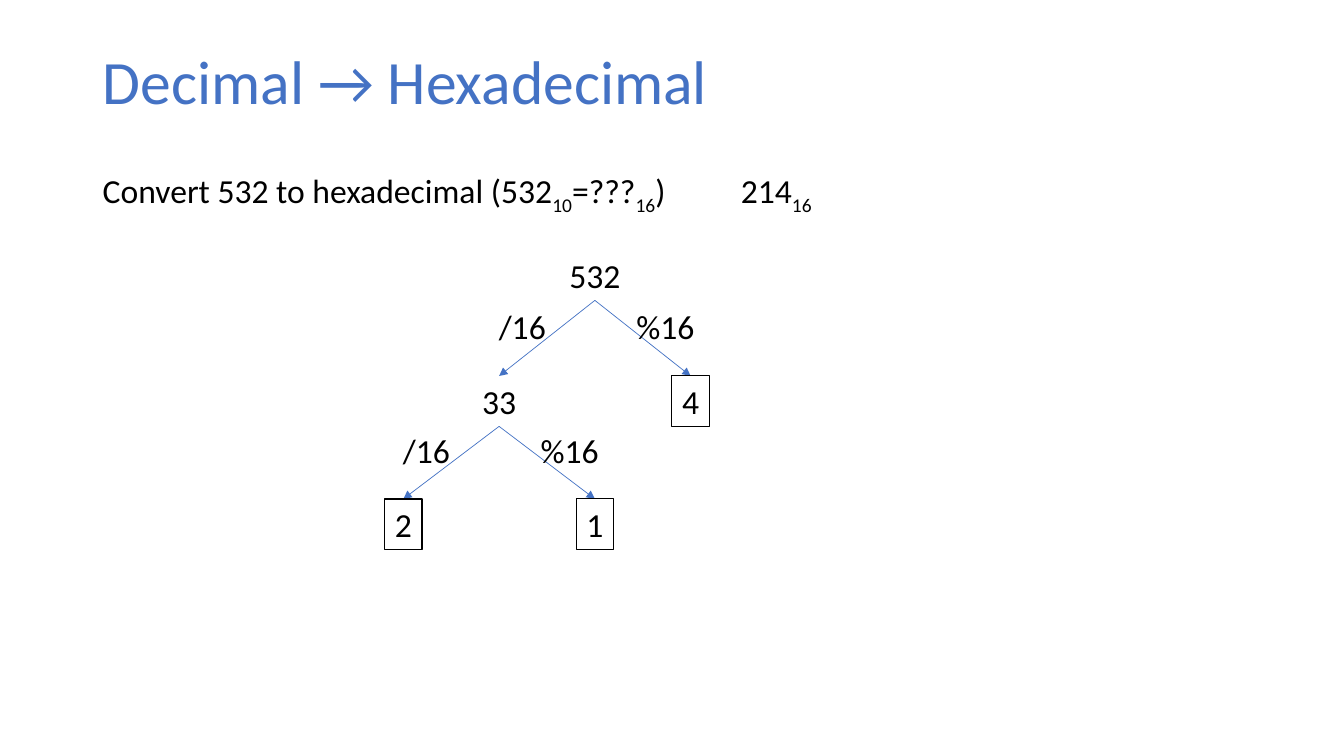
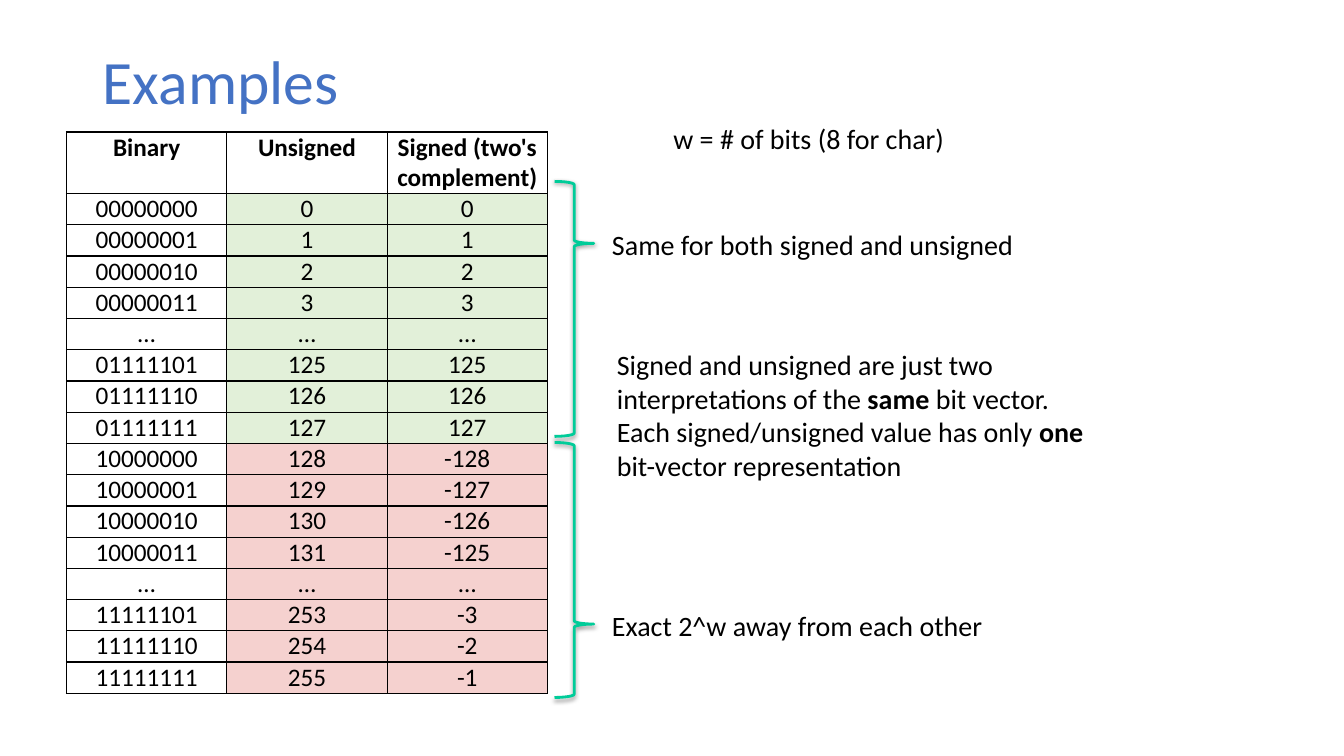
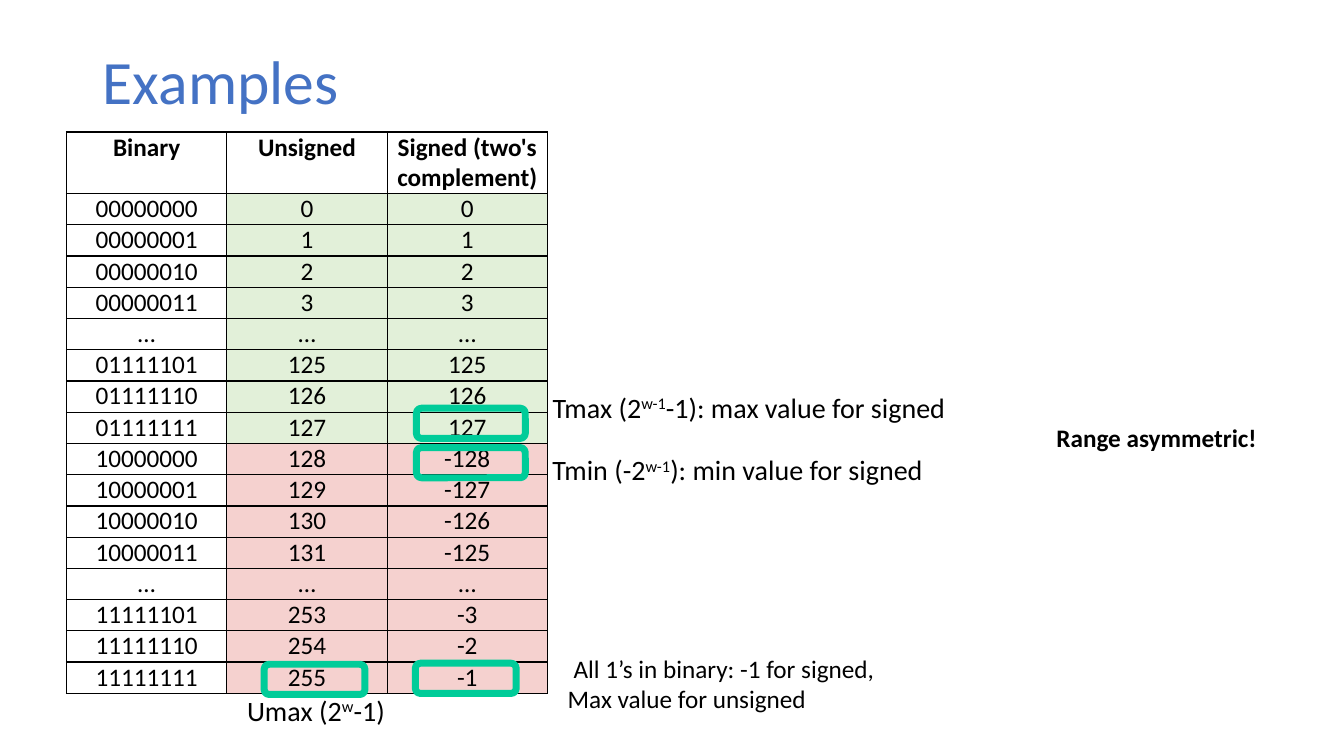
import pptx
import pptx.dml.color
import pptx.enum.shapes
import pptx.enum.text
import pptx.oxml
import pptx.oxml.ns
import pptx.util
from pptx.util import Inches

FONT = "Calibri"
BLACK, WHITE, BLUE, TEAL = "000000", "FFFFFF", "4472C4", "00CC99"
GREEN_ROW, RED_ROW = "E2F0D9", "F5D1CF"
LEFT = pptx.enum.text.PP_ALIGN.LEFT
CENTER = pptx.enum.text.PP_ALIGN.CENTER
SHAPES = pptx.enum.shapes.MSO_SHAPE
qn = pptx.oxml.ns.qn
NS = pptx.oxml.ns.nsdecls("a")

# A paragraph is a list of (text, style) runs
QUESTION = [[("Convert 532 to hexadecimal (532", ""), ("10", "sub"),
             ("=???", ""), ("16", "sub"), (")", "")]]
ANSWER = [[("214", ""), ("16", "sub")]]

# A node is (value, quotient node, remainder); a plain string is a digit
DIVISIONS = ("532", ("33", "2", "1"), "4")
LEVEL_TOPS = (2.48, 3.73, 4.95)
NODE_H, BRANCH = 0.5, 0.95

HEADERS = ("Binary", "Unsigned", "Signed (two's complement)")
SAMPLES = (0, 1, 2, 3, None, 125, 126, 127,
           128, 129, 130, 131, None, 253, 254, 255)
TABLE_LEFT, TABLE_TOP = 0.66, 1.31
COL_W, HEAD_H, ROW_H = 1.59, 0.57, 0.31

BRACES = [(1.8, 0.243), (4.39, 0.712)]  # top, position of the point
BRACE_NOTES = [  # left, top, width, height, inset, paragraphs
    (6.02, 2.21, 4.94, 0.44, 0.05, [[("Same for both signed and unsigned", "")]]),
    (6.02, 3.4, 5.24, 1.45, 0.1, [
        [("Signed and unsigned are just two interpretations of the ", ""),
         ("same", "bold"), (" bit vector.", "")],
        [("Each signed/unsigned value has only ", ""), ("one", "bold"),
         (" bit-vector representation", "")]]),
    (6.02, 5.99, 4.94, 0.44, 0.05, [[("Exact 2^w away from each other", "")]]),
]
WIDTH_NOTE = [[("w = # of bits (8 for char)", "")]]

HIGHLIGHTS = [(2.62, 6.59, 1), (4.13, 4.05, 1.08),
              (4.13, 4.44, 1.08), (4.12, 6.58, 1)]  # left, top, width
LIMIT_NOTES = [  # left, top, width, paragraphs
    (2.4, 6.83, 1.75, [[("Umax (2", ""), ("w", "sup"), ("-1)", "")]]),
    (5.43, 3.82, 4.18, [[("Tmax (2", ""), ("w-1", "sup"),
                         ("-1): max value for signed", "")]]),
    (5.43, 4.44, 4.73, [[("Tmin (-2", ""), ("w-1", "sup"),
                         ("): min value for signed", "")]]),
]
ALL_ONES = [[("All 1’s in binary: -1 for signed,", "")],
            [("Max value for unsigned", "")]]
ASYMMETRIC = [[("Range asymmetric!", "bold")]]


def rgb(color):
    return pptx.dml.color.RGBColor.from_string(color)


def write(tf, paragraphs, size, align=LEFT, color=BLACK):
    for i, runs in enumerate(paragraphs):
        p = tf.paragraphs[0] if i == 0 else tf.add_paragraph()
        p.alignment = align
        for text, style in runs:
            r = p.add_run()
            r.text = text
            r.font.name, r.font.size = FONT, pptx.util.Pt(size)
            r.font.bold = style == "bold"
            r.font.color.rgb = rgb(color)
            baseline = {"sub": "-25000", "sup": "30000"}.get(style)
            if baseline:
                r.font._element.set("baseline", baseline)


def add_text(s, left, top, width, height, paragraphs, size,
             align=LEFT, wrap=False, inset=0.1):
    box = s.shapes.add_textbox(Inches(left), Inches(top),
                               Inches(width), Inches(height))
    tf = box.text_frame
    tf.word_wrap = wrap
    tf.margin_left = tf.margin_right = Inches(inset)
    write(tf, paragraphs, size, align)
    return box


def add_outline(s, kind, left, top, width, height, weight):
    """Add an unfilled teal shape."""
    sp = s.shapes.add_shape(kind, Inches(left), Inches(top),
                            Inches(width), Inches(height))
    sp.shadow.inherit = False
    sp.fill.background()
    sp.line.color.rgb = rgb(TEAL)
    sp.line.width = pptx.util.Pt(weight)
    return sp


def add_brace(s, top, point):
    sp = add_outline(s, SHAPES.RIGHT_BRACE, 5.5, top, 0.39, 2.53, 2)
    sp.adjustments[0], sp.adjustments[1] = 0.083, point
    sp._element.spPr.find(qn("a:effectLst")).append(pptx.oxml.parse_xml(
        f'<a:outerShdw {NS} blurRad="38100" dist="20320" dir="5400000" '
        f'rotWithShape="0"><a:srgbClr val="{BLACK}"><a:alpha val="38000"/>'
        f'</a:srgbClr></a:outerShdw>'))


def add_arrow(s, x1, y1, x2, y2):
    line = s.shapes.add_connector(pptx.enum.shapes.MSO_CONNECTOR.STRAIGHT,
                                  Inches(x1), Inches(y1), Inches(x2), Inches(y2))
    line.line.color.rgb = rgb(BLUE)
    line.line.width = pptx.util.Pt(0.5)
    line.line._get_or_add_ln().append(
        pptx.oxml.parse_xml(f'<a:tailEnd {NS} type="triangle"/>'))
    line._element.spPr.append(pptx.oxml.parse_xml(f"<a:effectLst {NS}/>"))


def add_label(s, text, center, top, width):
    return add_text(s, center - width / 2, top, width, NODE_H,
                    [[(text, "")]], 24, CENTER)


def add_division(s, node, center, level=0, border=0.75):
    """Draw a node and, below it, its quotient and remainder."""
    top = LEVEL_TOPS[level]
    if isinstance(node, str):
        digit = add_label(s, node, center, top, 0.37)
        digit.line.color.rgb = rgb(BLACK)
        digit.line.width = pptx.util.Pt(border)
        return
    value, quotient, remainder = node
    add_label(s, value, center, top, 0.71)
    below = LEVEL_TOPS[level + 1]
    label_top = (top + below) / 2 - 0.12
    branches = ((-1, "/16", 0.72, quotient, 1), (1, "%16", 0.7, remainder, 0.75))
    for side, operation, shift, child, child_border in branches:
        x = center + side * BRANCH
        add_arrow(s, center, top + NODE_H, x, below)
        add_label(s, operation, center + side * shift, label_top, 0.78)
        add_division(s, child, x, level + 1, child_border)


def table_rows():
    """Yield the texts of each row and the fill of its value columns."""
    yield HEADERS, None
    for i, n in enumerate(SAMPLES):
        fill = GREEN_ROW if i < len(SAMPLES) / 2 else RED_ROW
        if n is None:
            yield ("…",) * 3, fill
        else:
            yield (f"{n:08b}", str(n), str(n if n < 128 else n - 256)), fill


def format_cell(cell, text, fill, bold):
    cell.margin_left = cell.margin_right = Inches(0.1)
    cell.margin_top = cell.margin_bottom = 0
    write(cell.text_frame, [[(text, "bold" if bold else "")]], 18, CENTER)
    tcPr = cell._tc.get_or_add_tcPr()
    for edge in ("lnL", "lnR", "lnT", "lnB"):
        tcPr.append(pptx.oxml.parse_xml(
            f'<a:{edge} {NS} w="12700"><a:solidFill><a:srgbClr val="{BLACK}"/>'
            f'</a:solidFill></a:{edge}>'))
    if fill:
        cell.fill.solid()
        cell.fill.fore_color.rgb = rgb(fill)
    else:
        cell.fill.background()


def add_bits_table(s):
    rows = list(table_rows())
    table = s.shapes.add_table(
        len(rows), len(HEADERS), Inches(TABLE_LEFT), Inches(TABLE_TOP),
        Inches(COL_W * len(HEADERS)),
        Inches(HEAD_H + ROW_H * len(SAMPLES))).table
    table.first_row = table.horz_banding = False
    for column in table.columns:
        column.width = Inches(COL_W)
    for i, (texts, fill) in enumerate(rows):
        table.rows[i].height = Inches(ROW_H if i else HEAD_H)
        for j, text in enumerate(texts):
            format_cell(table.cell(i, j), text, fill if j else None, i == 0)


def add_slide(prs, title):
    s = prs.slides.add_slide(prs.slide_layouts[5])
    s.background.fill.solid()
    s.background.fill.fore_color.rgb = rgb(WHITE)
    sp = s.shapes.title
    sp.left, sp.top = Inches(0.92), Inches(0.4)
    sp.width, sp.height = Inches(11.5), Inches(0.87)
    tf = sp.text_frame
    tf.vertical_anchor = pptx.enum.text.MSO_ANCHOR.MIDDLE
    write(tf, [[(title, "")]], 44, color=BLUE)
    tf.paragraphs[0].line_spacing = 0.9
    return s


def conversion_slide(prs):
    s = add_slide(prs, "Decimal → Hexadecimal")
    add_division(s, DIVISIONS, 5.9)
    add_text(s, 0.92, 1.64, 5.89, 0.5, QUESTION, 24)
    add_text(s, 7.25, 1.64, 0.94, 0.5, ANSWER, 24)


def interpretations_slide(prs):
    s = add_slide(prs, "Examples")
    add_bits_table(s)
    for top, point in BRACES:
        add_brace(s, top, point)
    for left, top, width, height, inset, paragraphs in BRACE_NOTES:
        add_text(s, left, top, width, height, paragraphs, 20,
                 wrap=True, inset=inset)
    add_text(s, 6.58, 1.16, 2.91, 0.44, WIDTH_NOTE, 20)


def limits_slide(prs):
    s = add_slide(prs, "Examples")
    add_bits_table(s)
    for left, top, width in HIGHLIGHTS:
        add_outline(s, SHAPES.ROUNDED_RECTANGLE, left, top, width, 0.3, 5)
    for left, top, width, paragraphs in LIMIT_NOTES:
        add_text(s, left, top, width, 0.44, paragraphs, 20,
                 wrap=True, inset=0.05)
    box = add_text(s, 5.58, 6.43, 4.73, 0.91, ALL_ONES, 18,
                   wrap=True, inset=0.05)
    first = box.text_frame.paragraphs[0]
    first._p.get_or_add_pPr().set("indent", str(Inches(0.06)))
    add_text(s, 10.38, 4.14, 2.2, 0.4, ASYMMETRIC, 18)


def main():
    prs = pptx.Presentation()
    prs.slide_width, prs.slide_height = Inches(13.33), Inches(7.5)
    conversion_slide(prs)
    interpretations_slide(prs)
    limits_slide(prs)
    prs.save("out.pptx")


if __name__ == "__main__":
    main()
